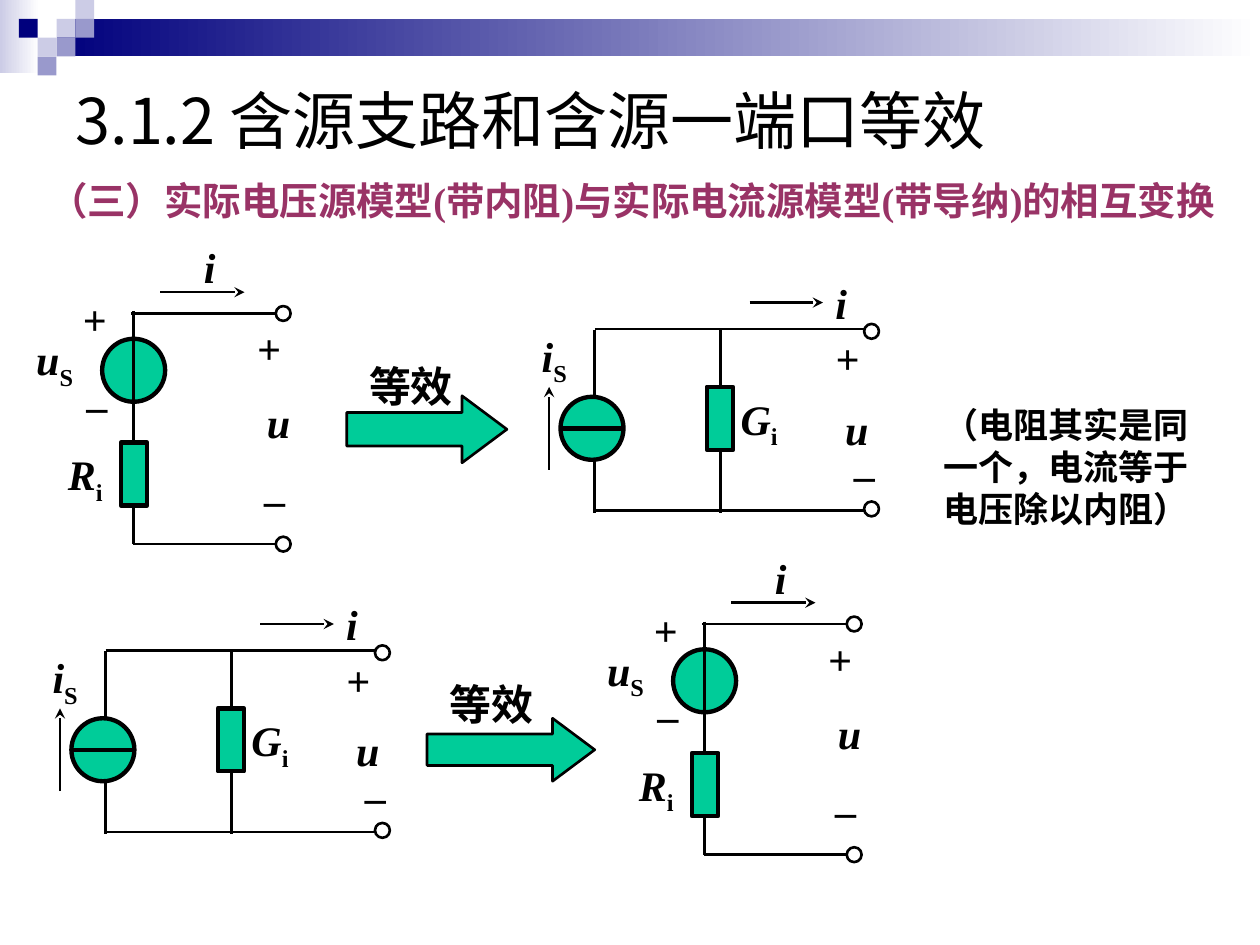
from dataclasses import dataclass

from lxml import etree
from pptx import Presentation
from pptx.dml.color import RGBColor
from pptx.enum.shapes import MSO_CONNECTOR as CONN, MSO_SHAPE as SHAPE
from pptx.enum.text import MSO_ANCHOR as ANCHOR, MSO_AUTO_SIZE as FIT, PP_ALIGN as ALIGN
from pptx.oxml.ns import qn
from pptx.util import Cm, Pt


@dataclass(frozen=True)
class Theme:
    black: str = "000000"
    white: str = "FFFFFF"
    navy: str = "00007D"
    lilac: str = "CCCCE6"
    violet: str = "9999CC"
    green: str = "00CC99"
    plum: str = "993366"
    latin: str = "Times New Roman"
    cjk: str = "Noto Sans CJK SC"
    title: int = 36
    label: int = 24
    heading: int = 22
    note: int = 20
    thin: float = 1.5
    thick: float = 2.5


T = Theme()
CELL = 0.38


def rgb(value):
    return RGBColor.from_string(value)


def add_run(p, text, size=T.label, color=T.black, font=T.latin, bold=True, italic=False, sub=False):
    r = p.add_run()
    r.text = text
    r.font.size, r.font.bold, r.font.italic = Pt(size), bold, italic
    r.font.name = font
    r.font.color.rgb = rgb(color)
    rPr = r.font._element
    etree.SubElement(rPr, qn("a:ea")).set("typeface", T.cjk)
    if sub:
        rPr.set("baseline", "-25000")


def add_text(slide, text, x, y, w=1.27, h=1.27, sub="", centered=False, **style):
    sp = slide.shapes.add_textbox(Cm(x), Cm(y), Cm(w), Cm(h))
    tf = sp.text_frame
    tf.word_wrap = not centered
    tf.auto_size = FIT.SHAPE_TO_FIT_TEXT
    p = tf.paragraphs[0]
    if centered:
        tf.vertical_anchor = ANCHOR.MIDDLE
        p.alignment = ALIGN.CENTER
    add_run(p, text, **style)
    if sub:
        add_run(p, sub, sub=True)


def add_shape(slide, kind, x, y, w, h, fill=None, line=None):
    sp = slide.shapes.add_shape(kind, Cm(x), Cm(y), Cm(w), Cm(h))
    sp.shadow.inherit = False
    if fill:
        sp.fill.solid()
        sp.fill.fore_color.rgb = rgb(fill)
    else:
        sp.fill.background()
    if line:
        sp.line.color.rgb = rgb(T.black)
        sp.line.width = Pt(line)
    else:
        sp.line.fill.background()
    return sp


def add_fade(slide, x, y, w, h, start):
    sp = add_shape(slide, SHAPE.RECTANGLE, x, y, w, h)
    sp.fill.gradient()
    sp.fill.gradient_angle = 0
    for stop, color in zip(sp.fill.gradient_stops, (start, T.white)):
        stop.color.rgb = rgb(color)


def add_line(slide, x1, y1, x2, y2, width=T.thin, arrow=False):
    cx = slide.shapes.add_connector(CONN.STRAIGHT, Cm(x1), Cm(y1), Cm(x2), Cm(y2))
    cx.line.color.rgb = rgb(T.black)
    cx.line.width = Pt(width)
    if arrow:
        etree.SubElement(cx.line._get_or_add_ln(), qn("a:tailEnd")).set("type", "stealth")
    etree.SubElement(cx._element.spPr, qn("a:effectLst"))


def add_source(slide, x, y):
    add_shape(slide, SHAPE.OVAL, x, y, 1.27, 1.27, T.green, T.thick)


def add_resistor(slide, x, y):
    add_shape(slide, SHAPE.RECTANGLE, x, y, 0.53, 1.27, T.green, T.thick)


def add_terminals(slide, x, *tops):
    for y in tops:
        add_shape(slide, SHAPE.OVAL, x, y, 0.3, 0.3, line=T.thin)


def add_symbols(slide, dx, dy, symbols):
    for text, sub, x, y in symbols:
        add_text(slide, text, x + dx, y + dy, 1.47 if sub else 1.27, sub=sub, italic=True)


def add_voltage_circuit(slide, dx=0, dy=0):
    add_source(slide, 2.06 + dx, 6.83 + dy)
    for sign, x, y in (("+", 1.42, 5.79), ("_", 1.47, 7.24)):
        add_text(slide, sign, x + dx, y + dy, 0.97, centered=True)
    add_symbols(slide, dx, dy, (
        ("i", "", 3.86, 4.75), ("u", "S", 0.48, 6.6), ("R", "i", 1.12, 8.92),
        ("+", "", 4.93, 6.38), ("u", "", 5.13, 7.87), ("_", "", 5.13, 9.14)))
    for x1, y1, x2, y2 in ((2.64, 6.32, 5.56, 6.32), (2.69, 10.97, 5.56, 10.97),
                           (2.69, 6.27, 2.69, 10.97)):
        add_line(slide, x1 + dx, y1 + dy, x2 + dx, y2 + dy)
    add_line(slide, 3.23 + dx, 5.89 + dy, 4.93 + dx, 5.89 + dy, arrow=True)
    add_terminals(slide, 5.56 + dx, 6.17 + dy, 10.82 + dy)
    add_resistor(slide, 2.44 + dx, 8.92 + dy)


def add_current_circuit(slide, dx=0, dy=0):
    add_symbols(slide, dx, dy, (
        ("i", "", 16.59, 5.46), ("G", "i", 14.68, 7.8), ("i", "S", 10.67, 6.53),
        ("+", "", 16.59, 6.58), ("u", "", 16.79, 8.0), ("_", "", 17.02, 8.64)))
    for x1, y1, x2, y2 in ((11.99, 6.65, 11.99, 10.34), (14.53, 6.65, 14.53, 10.34),
                           (11.99, 6.63, 17.42, 6.63), (11.99, 10.29, 17.42, 10.29)):
        add_line(slide, x1 + dx, y1 + dy, x2 + dx, y2 + dy)
    add_source(slide, 11.3 + dx, 8.0 + dy)
    add_line(slide, 11.3 + dx, 8.64 + dy, 12.57 + dx, 8.64 + dy, T.thick)
    add_resistor(slide, 14.25 + dx, 7.8 + dy)
    for x1, y1, x2, y2 in ((15.11, 6.1, 16.59, 6.1), (11.07, 9.47, 11.07, 7.8)):
        add_line(slide, x1 + dx, y1 + dy, x2 + dx, y2 + dy, arrow=True)
    add_terminals(slide, 17.42 + dx, 6.53 + dy, 10.11 + dy)


def add_equivalence(slide, x, y, w, h, label_y):
    sp = add_shape(slide, SHAPE.RIGHT_ARROW, x, y, w, h, T.green, T.thin)
    sp.adjustments[0], sp.adjustments[1] = 0.5, 0.67
    add_text(slide, "等效", x + 0.2, label_y, 2.3)


def add_banner(slide):
    add_fade(slide, 0, 0, 0.79, 1.47, T.lilac)
    add_fade(slide, 3 * CELL, CELL, 25.4 - 3 * CELL, 2 * CELL, T.navy)
    for col, row, color in ((3, 1, T.lilac), (4, 0, T.lilac), (4, 1, T.violet), (2, 2, T.lilac),
                            (1, 1, T.navy), (3, 2, T.violet), (2, 3, T.violet)):
        add_shape(slide, SHAPE.RECTANGLE, col * CELL, row * CELL, CELL, CELL, color)


def set_title(slide, text):
    sp = slide.shapes.title
    sp.left, sp.top, sp.width, sp.height = Cm(1.27), Cm(1.27), Cm(22.86), Cm(2.26)
    tf = sp.text_frame
    tf.vertical_anchor = ANCHOR.MIDDLE
    p = tf.paragraphs[0]
    p.alignment = ALIGN.LEFT
    add_run(p, text, size=T.title, font=T.cjk, bold=False)


def main():
    prs = Presentation()
    prs.slide_width, prs.slide_height = Cm(25.4), Cm(19.05)
    slide = prs.slides.add_slide(prs.slide_layouts[5])
    add_banner(slide)
    set_title(slide, "3.1.2 含源支路和含源一端口等效")
    add_text(slide, "（三）实际电压源模型(带内阻)与实际电流源模型(带导纳)的相互变换",
             0.74, 3.45, 24.54, 1.19, size=T.heading, color=T.plum)
    add_equivalence(slide, 6.99, 7.98, 3.23, 1.35, 7.14)
    add_equivalence(slide, 8.61, 14.48, 3.38, 1.27, 13.56)
    add_voltage_circuit(slide)
    add_current_circuit(slide)
    add_current_circuit(slide, -9.86, 6.48)
    add_voltage_circuit(slide, 11.51, 6.26)
    add_text(slide, "（电阻其实是同一个，电流等于电压除以内阻）",
             18.77, 8.0, 5.99, 2.82, size=T.note)
    prs.save("out.pptx")


if __name__ == "__main__":
    main()
